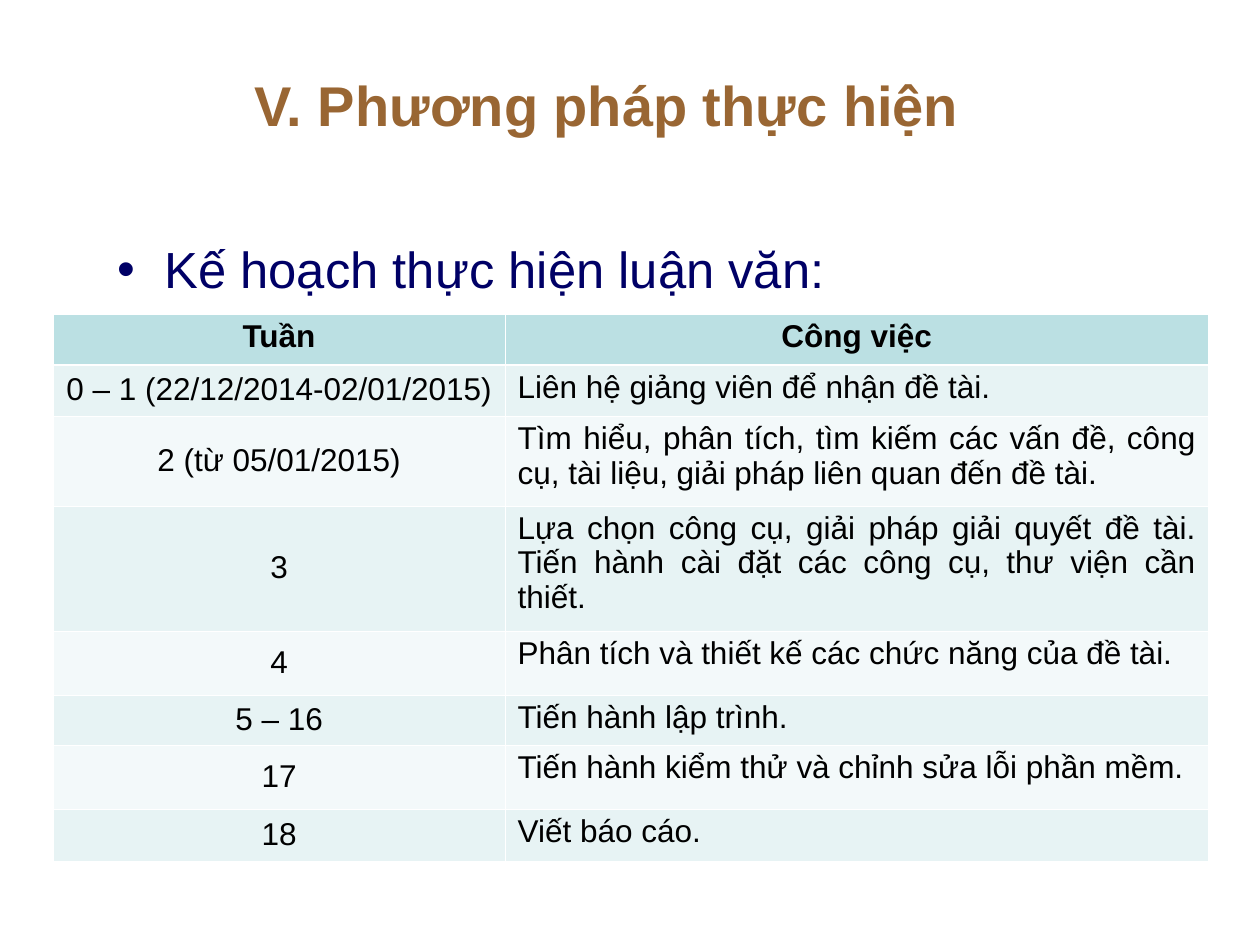
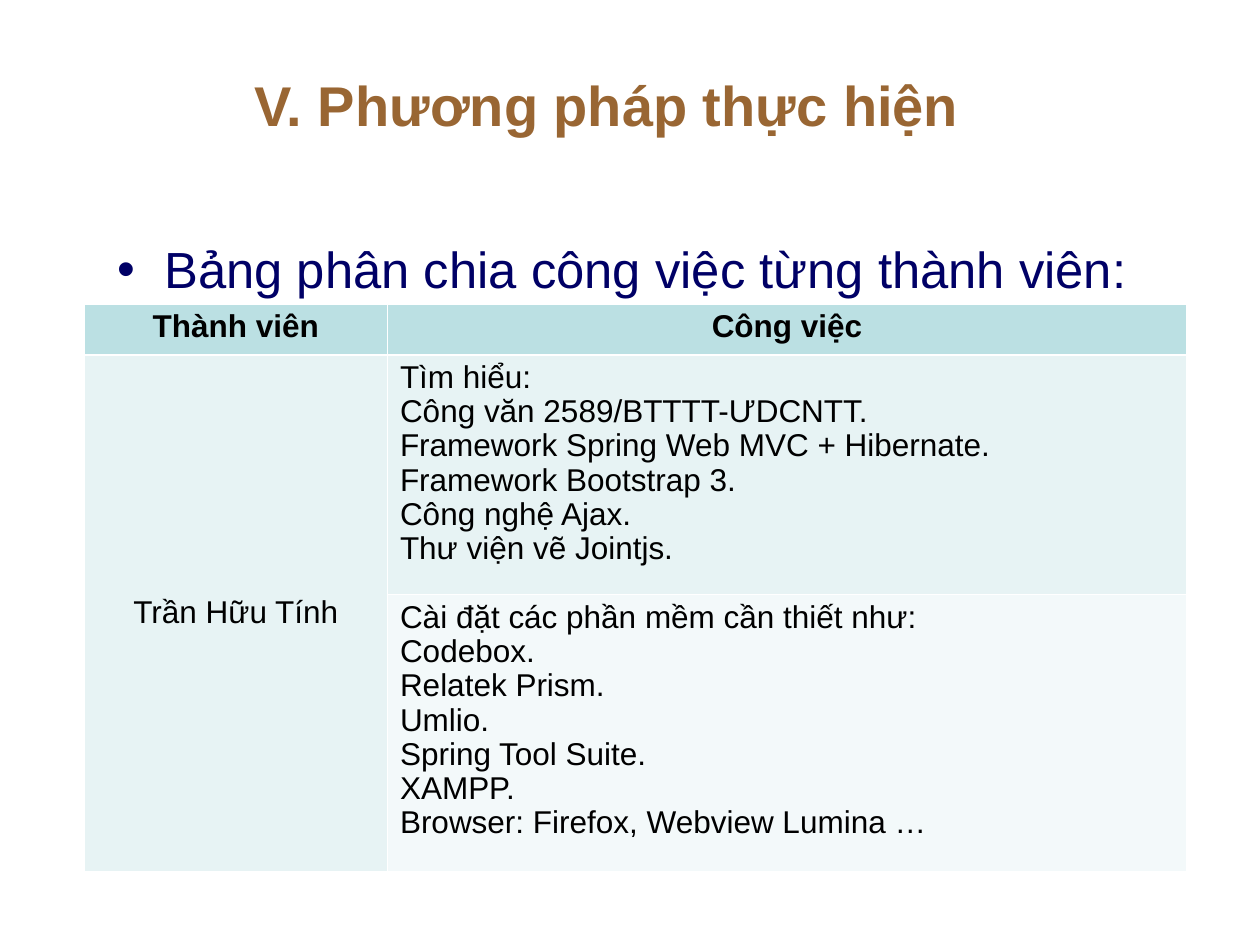
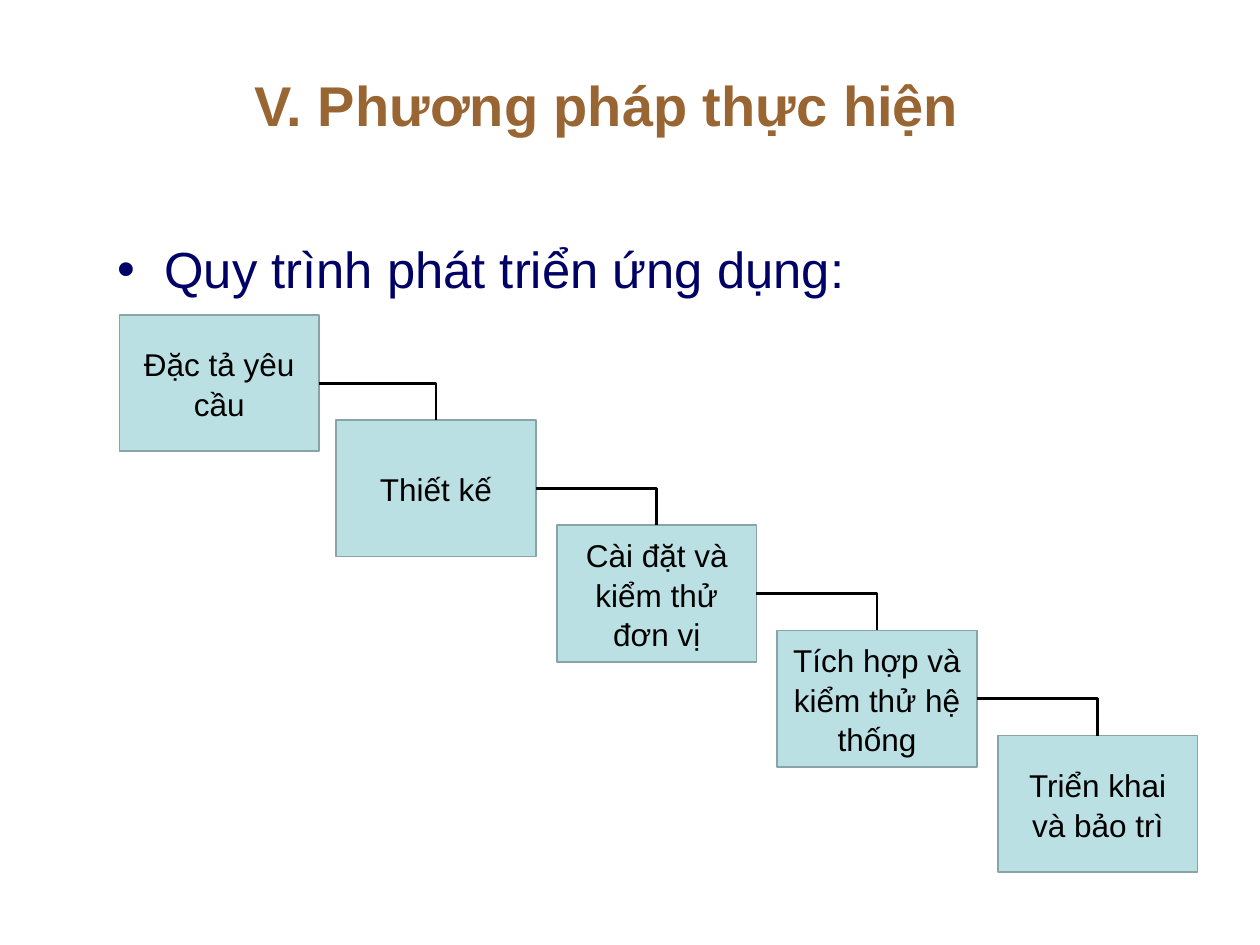
"""Builds three slides on the work plan, task assignment and development process."""
import pptx
import pptx.dml.color
import pptx.enum.shapes
import pptx.enum.text
import pptx.oxml
import pptx.oxml.ns
import pptx.util

Cm = pptx.util.Cm
Pt = pptx.util.Pt
ALIGN = pptx.enum.text.PP_ALIGN
ANCHOR = pptx.enum.text.MSO_ANCHOR
NAMESPACE = pptx.oxml.ns.nsdecls("a")

BROWN, NAVY, BLACK, WHITE = "996633", "000066", "000000", "FFFFFF"
TEAL, TEAL_EDGE = "BBE0E3", "89A4A7"
BANDS = ["F3F9FA", "E7F3F4"]


def colour(target, value):
    """Give a fill or font colour format a hex colour."""
    if hasattr(target, "solid"):
        target.solid()
        target = target.fore_color
    else:
        target = target.color
    target.rgb = pptx.dml.color.RGBColor.from_string(value)


def style_text(frame, size, value, bold=False, align=ALIGN.LEFT, spacing=1.0):
    """Format every paragraph and run of a text frame."""
    for para in frame.paragraphs:
        para.alignment = align
        para.line_spacing = spacing
        para.space_before = Pt(0)
        for span in para.runs:
            span.font.name = "Arial"
            span.font.size = Pt(size)
            span.font.bold = bold
            colour(span.font, value)


deck = pptx.Presentation()
deck.slide_width = Cm(25.4)
deck.slide_height = Cm(19.05)

headings = [
    "Kế hoạch thực hiện luận văn:",
    "Bảng phân chia công việc từng thành viên:",
    "Quy trình phát triển ứng dụng:",
]
pages = []
for heading in headings:
    page = deck.slides.add_slide(deck.slide_layouts[1])
    pages.append(page)

    title = page.shapes.title
    title.left, title.top, title.width, title.height = Cm(4.88), Cm(0.79), Cm(19.69), Cm(2.62)
    title.text_frame.text = "V. Phương pháp thực hiện"
    title.text_frame.vertical_anchor = ANCHOR.MIDDLE
    style_text(title.text_frame, 32, BROWN, bold=True)

    body = page.placeholders[1]
    body.left, body.top, body.width, body.height = Cm(2.11), Cm(4.55), Cm(22.43), Cm(1.8)
    frame = body.text_frame
    frame.text = heading
    frame.word_wrap = True
    frame.auto_size = pptx.enum.text.MSO_AUTO_SIZE.NONE
    frame.margin_top = Cm(0.25)
    properties = frame.paragraphs[0]._p.get_or_add_pPr()
    properties.set("marL", str(Cm(0.95)))
    properties.set("indent", str(-Cm(0.95)))
    for markup in (
        f'<a:buClr {NAMESPACE}><a:srgbClr val="{NAVY}"/></a:buClr>',
        f'<a:buFont {NAMESPACE} typeface="Arial"/>',
        f'<a:buChar {NAMESPACE} char="•"/>',
    ):
        properties.append(pptx.oxml.parse_xml(markup))
    style_text(frame, 29, NAVY, align=ALIGN.JUSTIFY)

plan_rows = [
    ("Tuần", "Công việc"),
    ("0 – 1 (22/12/2014-02/01/2015)", "Liên hệ giảng viên để nhận đề tài."),
    ("2 (từ 05/01/2015)",
     "Tìm hiểu, phân tích, tìm kiếm các vấn đề, công cụ, tài liệu, "
     "giải pháp liên quan đến đề tài."),
    ("3",
     "Lựa chọn công cụ, giải pháp giải quyết đề tài. "
     "Tiến hành cài đặt các công cụ, thư viện cần thiết."),
    ("4", "Phân tích và thiết kế các chức năng của đề tài."),
    ("5 – 16", "Tiến hành lập trình."),
    ("17", "Tiến hành kiểm thử và chỉnh sửa lỗi phần mềm."),
    ("18", "Viết báo cáo."),
]
study_lines = [
    "Tìm hiểu:",
    "Công văn 2589/BTTTT-ƯDCNTT.",
    "Framework Spring Web MVC + Hibernate.",
    "Framework Bootstrap 3.",
    "Công nghệ Ajax.",
    "Thư viện vẽ Jointjs.",
]
install_lines = [
    "Cài đặt các phần mềm cần thiết như:",
    "Codebox.",
    "Relatek Prism.",
    "Umlio.",
    "Spring Tool Suite.",
    "XAMPP.",
    "Browser: Firefox, Webview Lumina …",
]
member_rows = [
    ("Thành viên", "Công việc"),
    ("Trần Hữu Tính", "\n".join(study_lines)),
    ("", "\n".join(install_lines)),
]
tables = [
    (pages[0], 1.07, 6.33, [9.11, 14.18],
     [1.03, 1.03, 1.81, 2.52, 1.29, 1.01, 1.29, 1.05], plan_rows),
    (pages[1], 1.7, 6.13, [6.11, 16.11], [1.02, 4.84, 5.58], member_rows),
]
for page, left, top, widths, heights, rows in tables:
    table = page.shapes.add_table(
        len(rows), len(widths), Cm(left), Cm(top), Cm(sum(widths)), Cm(sum(heights))
    ).table
    table.horz_banding = False
    for column, width in zip(table.columns, widths):
        column.width = Cm(width)
    for row_index, (height, texts) in enumerate(zip(heights, rows)):
        header = row_index == 0
        table.rows[row_index].height = Cm(height)
        for column_index, text in enumerate(texts):
            cell = table.cell(row_index, column_index)
            centred = header or column_index == 0
            cell.text_frame.text = text
            cell.vertical_anchor = ANCHOR.MIDDLE if centred and not header else ANCHOR.TOP
            style_text(cell.text_frame, 18, BLACK, header,
                       ALIGN.CENTER if centred else ALIGN.JUSTIFY, 0.97)
            colour(cell.fill, TEAL if header else BANDS[row_index % 2])
            thick_side = {0: "B", 1: "T"}.get(row_index)
            for position, side in enumerate("LRTB"):
                weight = Pt(1.47 if side == thick_side else 0.45)
                border = pptx.oxml.parse_xml(
                    f'<a:ln{side} {NAMESPACE} w="{weight}"><a:solidFill>'
                    f'<a:srgbClr val="{WHITE}"/></a:solidFill></a:ln{side}>'
                )
                cell._tc.get_or_add_tcPr().insert(position, border)
    if rows is member_rows:
        table.cell(1, 0).merge(table.cell(2, 0))

process_page = pages[2]
steps = [
    ("Đặc tả yêu cầu", 2.41),
    ("Thiết kế", 6.78),
    ("Cài đặt và kiểm thử đơn vị", 11.23),
    ("Tích hợp và kiểm thử hệ thống", 15.67),
    ("Triển khai và bảo trì", 20.12),
]
boxes = []
for index, (step, left) in enumerate(steps):
    box = process_page.shapes.add_shape(
        pptx.enum.shapes.MSO_SHAPE.RECTANGLE,
        Cm(left), Cm(6.35 + 2.12 * index), Cm(4.02), Cm(2.75),
    )
    box.shadow.inherit = False
    colour(box.fill, TEAL)
    colour(box.line.fill, TEAL_EDGE)
    box.line.width = Pt(1)
    box.text_frame.text = step
    box.text_frame.word_wrap = True
    box.text_frame.vertical_anchor = ANCHOR.MIDDLE
    style_text(box.text_frame, 18, BLACK, align=ALIGN.CENTER, spacing=1.05)
    boxes.append(box)

for source, target in zip(boxes, boxes[1:]):
    link = process_page.shapes.add_connector(
        pptx.enum.shapes.MSO_CONNECTOR.ELBOW,
        source.left + source.width, source.top + source.height // 2,
        target.left + target.width // 2, target.top,
    )
    link.begin_connect(source, 3)
    link.end_connect(target, 0)
    colour(link.line.fill, BLACK)
    link.line.width = Pt(1.5)
    outline = link._element.spPr
    outline.find(pptx.oxml.ns.qn("a:prstGeom")).set("prst", "bentConnector2")
    outline.append(pptx.oxml.parse_xml(f"<a:effectLst {NAMESPACE}/>"))

deck.save("out.pptx")
